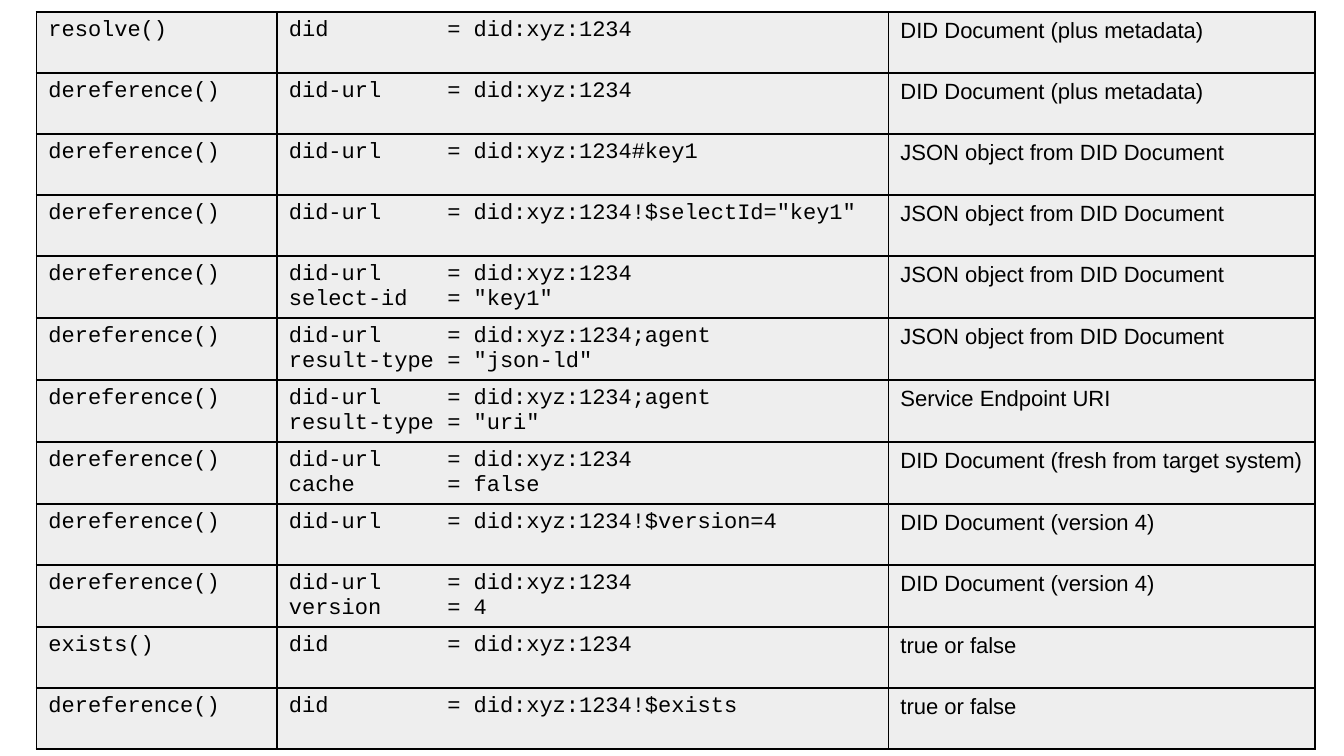
from lxml.etree import SubElement as Sub
from pptx import Presentation
from pptx.dml.color import RGBColor
from pptx.oxml.ns import qn
from pptx.util import Cm, Pt

INK, GREY = "000000", "EEEEEE"
MONO, SANS = "Courier New", "Arial"
WIDTHS = [5.01, 12.74, 8.89]
HEIGHT = 1.27
TAB = 3.3

JSON = "JSON object from DID Document"
META = "DID Document (plus metadata)"
V4 = "DID Document (version 4)"
BOOL = "true or false"
DID = "did:xyz:1234"

# call, [(option, value), ...], result
CALLS = [
    ("resolve()", [("did", DID)], META),
    ("dereference()", [("did-url", DID)], META),
    ("dereference()", [("did-url", DID + "#key1")], JSON),
    ("dereference()", [("did-url", DID + '!$selectId="key1"')], JSON),
    ("dereference()", [("did-url", DID), ("select-id", '"key1"')], JSON),
    ("dereference()", [("did-url", DID + ";agent"), ("result-type", '"json-ld"')], JSON),
    ("dereference()", [("did-url", DID + ";agent"), ("result-type", '"uri"')],
     "Service Endpoint URI"),
    ("dereference()", [("did-url", DID), ("cache", "false")],
     "DID Document (fresh from target system)"),
    ("dereference()", [("did-url", DID + "!$version=4")], V4),
    ("dereference()", [("did-url", DID), ("version", "4")], V4),
    ("exists()", [("did", DID)], BOOL),
    ("dereference()", [("did", DID + "!$exists")], BOOL),
]


def paint(fill, color):
    fill.solid()
    fill.fore_color.rgb = RGBColor.from_string(color)


def border(cell):
    props = cell._tc.get_or_add_tcPr()
    for side in ("a:lnL", "a:lnR", "a:lnT", "a:lnB"):
        line = Sub(props, qn(side), w=str(Pt(1.13)))
        Sub(Sub(line, qn("a:solidFill")), qn("a:srgbClr"), val=INK)


prs = Presentation()
prs.slide_width, prs.slide_height = Cm(28), Cm(15.75)
slide = prs.slides.add_slide(prs.slide_layouts[6])

frame = slide.shapes.add_table(len(CALLS), len(WIDTHS), Cm(0.76), Cm(0.25),
                               Cm(sum(WIDTHS)), Cm(HEIGHT * len(CALLS)))
table = frame.table
table.first_row = table.horz_banding = False
for col, width in zip(table.columns, WIDTHS):
    col.width = Cm(width)

for row, (call, opts, result) in zip(table.rows, CALLS):
    row.height = Cm(HEIGHT)
    pairs = [f"{name}\t= {value}" for name, value in opts]
    texts = [([call], MONO), (pairs, MONO), ([result], SANS)]
    for cell, (lines, font) in zip(row.cells, texts):
        border(cell)
        paint(cell.fill, GREY)
        cell.margin_left = cell.margin_right = Cm(0.25)
        cell.margin_top = cell.margin_bottom = Cm(0.13)
        for i, text in enumerate(lines):
            para = cell.text_frame.add_paragraph() if i else cell.text_frame.paragraphs[0]
            if "\t" in text:
                tabs = Sub(para._p.get_or_add_pPr(), qn("a:tabLst"))
                Sub(tabs, qn("a:tab"), pos=str(Cm(TAB)), algn="l")
            run = para.add_run()
            run.text = text
            run.font.name, run.font.size = font, Pt(13)
            paint(run.font.fill, INK)

prs.save("out.pptx")
